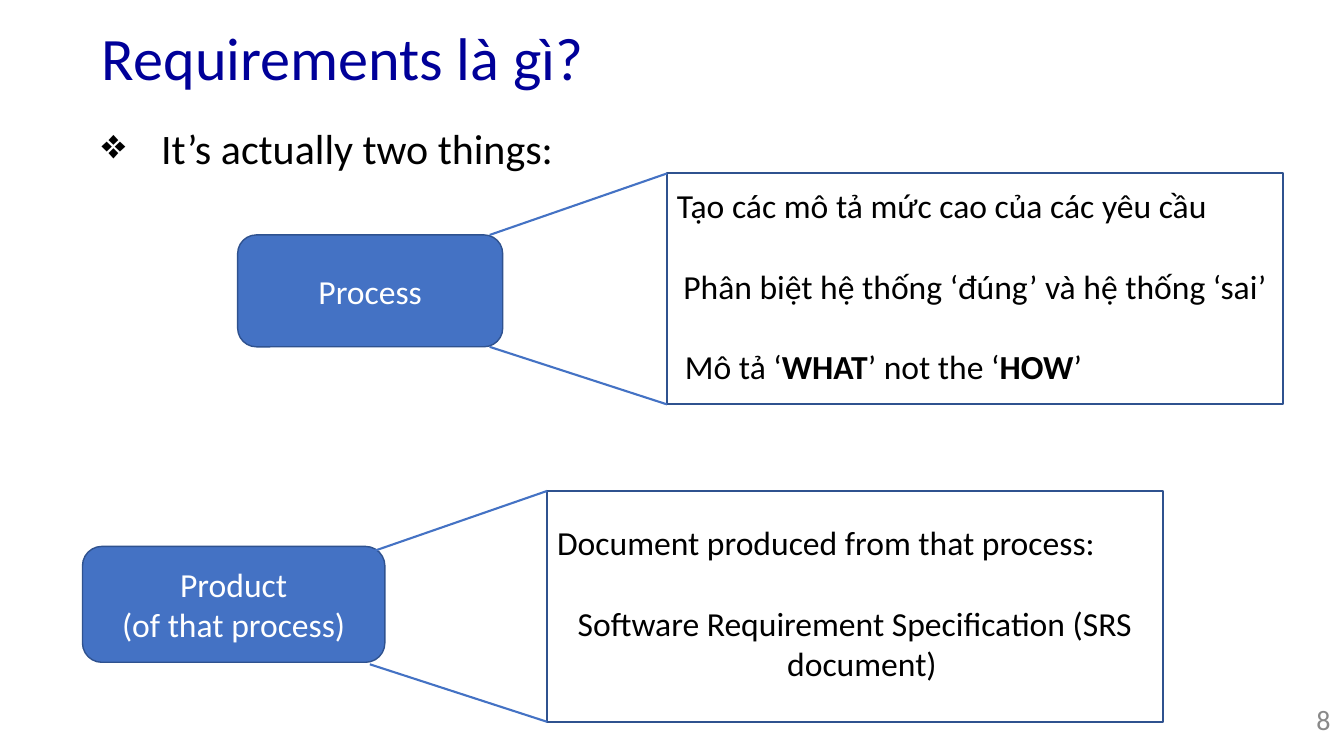
from lxml.etree import SubElement
from pptx import Presentation
from pptx.dml.color import RGBColor
from pptx.enum.shapes import MSO_CONNECTOR, MSO_SHAPE
from pptx.enum.text import MSO_ANCHOR, PP_ALIGN
from pptx.oxml.ns import qn
from pptx.util import Cm, Pt

NAVY = RGBColor(0x00, 0x00, 0x99)
BLACK = RGBColor(0x00, 0x00, 0x00)
WHITE = RGBColor(0xFF, 0xFF, 0xFF)
GREY = RGBColor(0x89, 0x89, 0x89)
BLUE = RGBColor(0x44, 0x72, 0xC4)
DARK_BLUE = RGBColor(0x2F, 0x52, 0x8F)

HEADING = "Requirements là gì?"
INTRO = "It’s actually two things:"
PAGE = "8"
THINGS = [
    {
        "term": ["Process"],
        "term_box": (5.99, 5.92, 6.68, 2.82),
        "callout_at": (16.81, 4.37),
        "inset": 0.3,
        "details": [
            ([("Tạo các mô tả mức cao của các yêu cầu", False)], 0.25, 0),
            ([("Phân biệt hệ thống ‘đúng’ và hệ thống ‘sai’", False)], 0.41, 0),
            ([("Mô tả ‘", False), ("WHAT", True), ("’ not the ‘", False),
              ("HOW", True), ("’", False)], 0.45, 0),
        ],
    },
    {
        "term": ["Product", "(of that process)"],
        "term_box": (2.08, 13.77, 7.62, 2.92),
        "callout_at": (13.79, 12.37),
        "inset": 0.79,
        "details": [
            ([("Document produced from that process:", False)], 0.25, 0),
            ([("Software Requirement Specification (SRS document)", False)],
             6.05, -5.28),
        ],
    },
]
CALLOUT_SIZE = (15.52, 5.82)
RAY_RUN, RAY_DROP, RAY_RISE = 4.47, 1.55, 1.45
DETAIL_GAP = Pt(28.6)


def assign(target, values):
    """Set each named attribute of the target."""
    for name, value in values.items():
        setattr(target, name, value)


def prepare(shape, anchor, top=0):
    """Give a shape's text frame its insets and anchor, and return it."""
    assign(shape.text_frame, {
        "margin_left": 0, "margin_right": 0, "margin_bottom": 0,
        "margin_top": Cm(top), "vertical_anchor": anchor, "word_wrap": True})
    return shape.text_frame


def write(frame, number, runs, size, color, align=PP_ALIGN.LEFT,
          left=0, first=0, bullet=None):
    """Fill one paragraph of a frame with (text, bold) runs."""
    paragraph = frame.paragraphs[0] if number == 0 else frame.add_paragraph()
    paragraph.alignment = align
    properties = paragraph._p.get_or_add_pPr()
    properties.set("marL", str(Cm(left)))
    properties.set("indent", str(Cm(first)))
    if bullet:
        SubElement(properties, qn("a:buChar")).set("char", bullet)
    for text, bold in runs:
        run = paragraph.add_run()
        run.text = text
        assign(run.font, {"name": "Calibri", "size": Pt(size), "bold": bold})
        run.font.color.rgb = color
    return paragraph


def draw_term(slide, lines, box):
    """Draw the rounded box that names one thing."""
    term = slide.shapes.add_shape(
        MSO_SHAPE.ROUNDED_RECTANGLE, *map(Cm, box))
    term.shadow.inherit = False
    term.fill.solid()
    term.fill.fore_color.rgb = BLUE
    term.line.color.rgb = DARK_BLUE
    term.line.width = Pt(1)
    frame = prepare(term, MSO_ANCHOR.MIDDLE)
    for number, line in enumerate(lines):
        write(frame, number, [(line, False)], 24, WHITE, PP_ALIGN.CENTER)


def draw_callout(slide, corner, inset, details):
    """Draw the outlined box of details and the two rays that lead to it."""
    callout = slide.shapes.add_shape(
        MSO_SHAPE.RECTANGLE, *map(Cm, corner + CALLOUT_SIZE))
    callout.shadow.inherit = False
    callout.fill.background()
    callout.line.color.rgb = DARK_BLUE
    callout.line.width = Pt(1.5)
    frame = prepare(callout, MSO_ANCHOR.TOP, inset)
    for number, (runs, left, first) in enumerate(details):
        detail = write(frame, number, runs, 24, BLACK, left=left, first=first)
        if number:
            detail.space_before = DETAIL_GAP
    x, top = corner
    bottom = top + CALLOUT_SIZE[1]
    for start, end in ((top + RAY_DROP, top), (bottom - RAY_RISE, bottom)):
        ray = slide.shapes.add_connector(
            MSO_CONNECTOR.STRAIGHT, Cm(x - RAY_RUN), Cm(start), Cm(x), Cm(end))
        ray.line.color.rgb = BLUE
        ray.line.width = Pt(1.5)
        SubElement(ray._element.spPr, qn("a:effectLst"))


def main():
    """Build the slide on what requirements are."""
    deck = Presentation()
    assign(deck, {"slide_width": Cm(33.87), "slide_height": Cm(19.05)})
    slide = deck.slides.add_slide(deck.slide_layouts[5])

    title = slide.shapes.title
    assign(title, {"left": Cm(2.54), "top": Cm(0.46),
                   "width": Cm(12.6), "height": Cm(1.9)})
    write(prepare(title, MSO_ANCHOR.TOP, 0.05), 0,
          [(HEADING, False)], 43, NAVY, left=0.03)

    intro = slide.shapes.add_textbox(Cm(2.54), Cm(3.07), Cm(12), Cm(1.35))
    write(prepare(intro, MSO_ANCHOR.TOP, 0.03), 0,
          [(INTRO, False)], 30, BLACK, left=1.52, first=-1.5, bullet="❖")

    for thing in THINGS:
        draw_term(slide, thing["term"], thing["term_box"])
        draw_callout(slide, thing["callout_at"], thing["inset"],
                     thing["details"])

    page = slide.shapes.add_textbox(Cm(32.82), Cm(17.7), Cm(0.71), Cm(0.94))
    write(prepare(page, MSO_ANCHOR.TOP), 0,
          [(PAGE, False)], 20, GREY, PP_ALIGN.RIGHT)
    deck.save("out.pptx")


if __name__ == "__main__":
    main()
